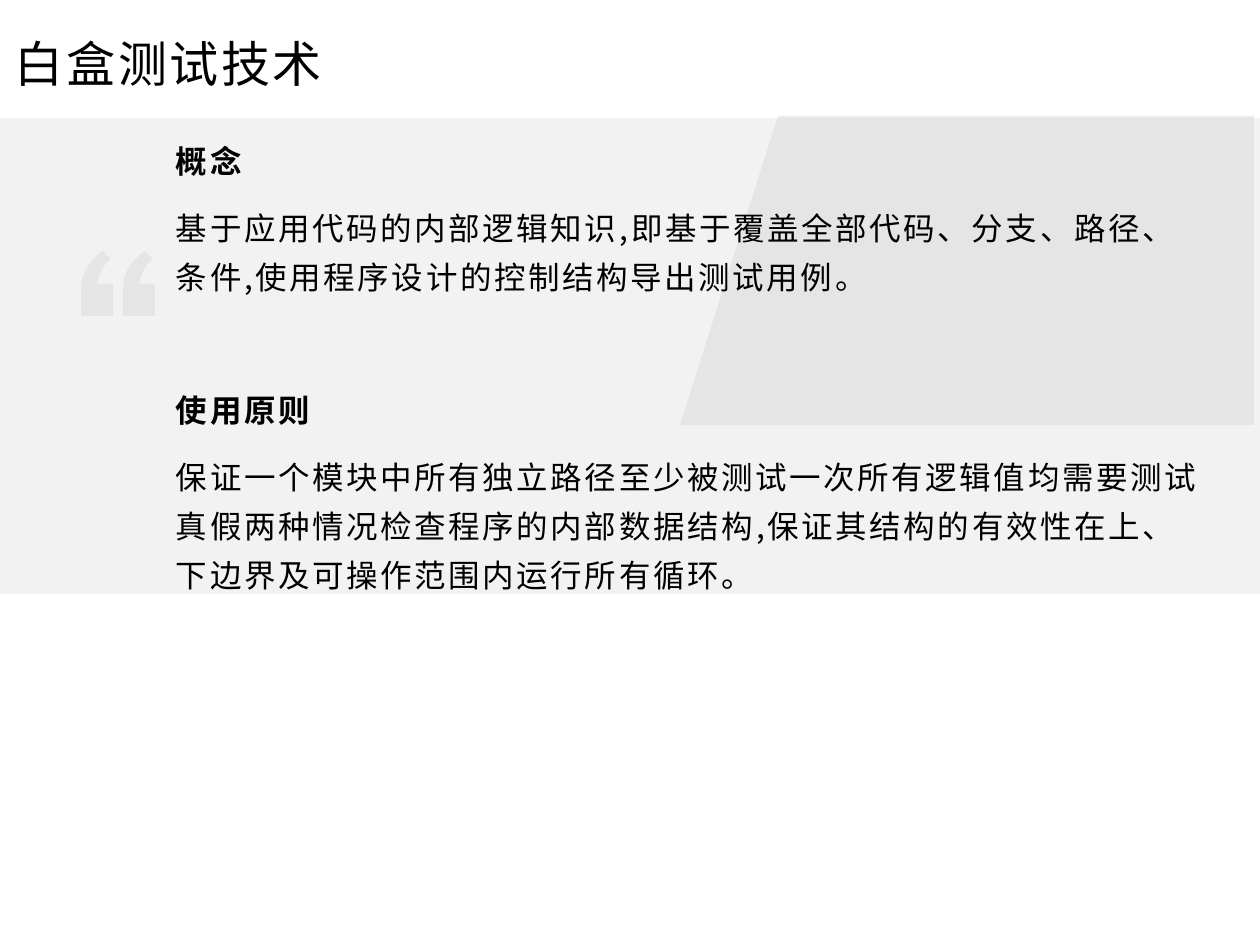
from pptx import Presentation, util as u
from pptx.dml.color import RGBColor
from pptx.enum import shapes, text
from lxml import etree

PX = 914400 // 126
BLACK = RGBColor(0x00, 0x00, 0x00)
PALE = RGBColor(0xF2, 0xF2, 0xF2)
GREY = RGBColor(0xD9, 0xD9, 0xD9)
FONT = "Noto Sans CJK SC"
A = "{http://schemas.openxmlformats.org/drawingml/2006/main}"

deck = Presentation()
deck.slide_width, deck.slide_height = u.Inches(10), u.Inches(7.5)
slide = deck.slides.add_slide(deck.slide_layouts[6])

# Pale band
band = slide.shapes.add_shape(
    shapes.MSO_SHAPE.RECTANGLE, 0, 118 * PX, 1260 * PX, 476 * PX)
band.shadow.inherit = False
band.fill.solid()
band.fill.fore_color.rgb = PALE
band.line.fill.background()

# Quotation mark outline: straight runs and cubic curves sampled in eight steps
quote_parts = [[(105, 253)], [(106, 255), (107, 256), (110, 257)], [(111, 258)],
               [(111, 258), (100, 267), (97, 284)], [(113, 284)], [(113, 316)],
               [(81, 316)], [(81, 287)], [(82, 263), (103, 251), (103, 251)]]
quote = [(103, 251)]
for part in quote_parts:
    if len(part) == 1:
        quote += part
        continue
    controls = [quote[-1]] + part
    for step in range(1, 9):
        t = step / 8
        weights = [(1 - t) ** 3, 3 * t * (1 - t) ** 2, 3 * t * t * (1 - t), t ** 3]
        quote.append(tuple(sum(w * c[axis] for w, c in zip(weights, controls))
                           for axis in (0, 1)))

# Slanted panel and the pair of quotation marks, half transparent
panel = [(778, 116), (1254, 116), (1254, 425), (680, 425)]
second_quote = [(x + 42, y) for x, y in quote]
for outline in (panel, quote, second_quote):
    points = [(round(x * PX), round(y * PX)) for x, y in outline]
    builder = slide.shapes.build_freeform(*points[0])
    builder.add_line_segments(points[1:], close=True)
    piece = builder.convert_to_shape()
    piece.shadow.inherit = False
    piece.fill.solid()
    piece.fill.fore_color.rgb = GREY
    piece.line.fill.background()
    color = piece.fill._xPr.find(f"{A}solidFill/{A}srgbClr")
    etree.SubElement(color, A + "alpha").set("val", "50000")

# Title and body: (box, size, [(wording, bold, space before)])
title = [("白盒测试技术", False, 0)]
body = [
    ("概念", True, 0),
    ("基于应用代码的内部逻辑知识,即基于覆盖全部代码、分支、路径、"
     "条件,使用程序设计的控制结构导出测试用例。", False, 0),
    ("使用原则", True, 38),
    ("保证一个模块中所有独立路径至少被测试一次所有逻辑值均需要测试"
     "真假两种情况检查程序的内部数据结构,保证其结构的有效性在上、"
     "下边界及可操作范围内运行所有循环。", False, 0),
]
frame_format = {"word_wrap": True, "vertical_anchor": text.MSO_ANCHOR.TOP,
                "margin_left": 10 * PX, "margin_right": 9 * PX,
                "margin_top": 0, "margin_bottom": 0}
for box, size, paragraphs in (((5, 16, 532, 115), 28, title),
                              ((166, 131, 1051, 536), 18, body)):
    frame = slide.shapes.add_textbox(*(n * PX for n in box)).text_frame
    for name, value in frame_format.items():
        setattr(frame, name, value)
    for index, (wording, bold, before) in enumerate(paragraphs):
        paragraph = frame.add_paragraph() if index else frame.paragraphs[0]
        paragraph.line_spacing = 1.3
        paragraph.space_before = u.Pt(before)
        paragraph.space_after = u.Pt(10)
        run = paragraph.add_run()
        run.text = wording
        for name, value in {"name": FONT, "size": u.Pt(size), "bold": bold}.items():
            setattr(run.font, name, value)
        run.font.color.rgb = BLACK
        properties = run.font._element
        properties.set("spc", "150")
        etree.SubElement(properties, A + "ea").set("typeface", FONT)

deck.save("out.pptx")
